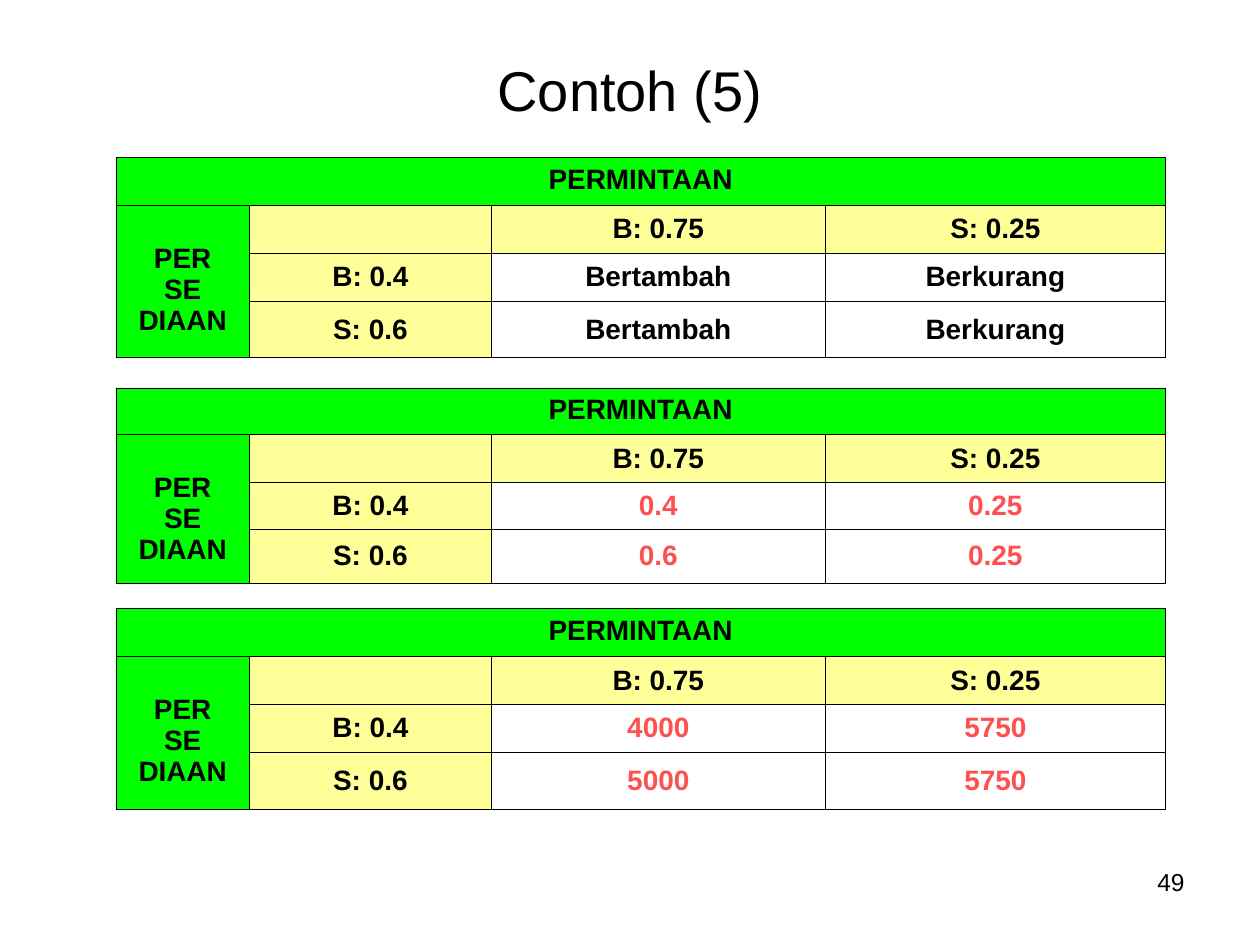
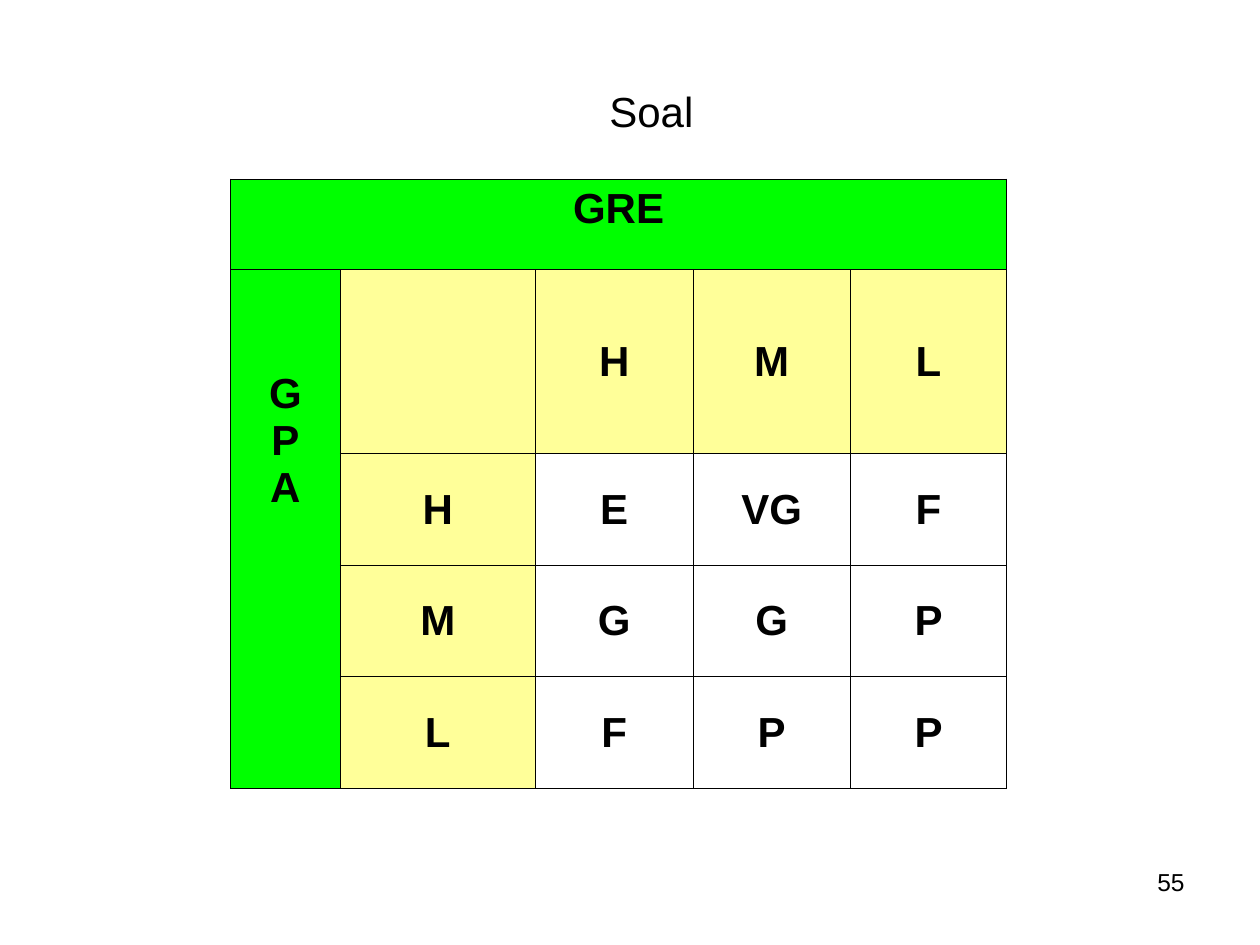
"""Build two slides of decision tables with a shared look."""
from dataclasses import dataclass

from lxml.etree import SubElement
from pptx import Presentation
from pptx.dml.color import RGBColor
from pptx.enum.text import MSO_ANCHOR, PP_ALIGN
from pptx.oxml.ns import qn
from pptx.util import Inches, Pt


@dataclass(frozen=True)
class Theme:
    font: str = "Arial"
    ink: str = "000000"
    red: str = "FF5050"
    band: str = "00FF00"
    head: str = "FFFF99"
    edge: float = 0.45
    page: int = 14
    small: int = 16
    large: int = 24
    title: int = 32


@dataclass(frozen=True)
class Box:
    left: float
    top: float
    width: float
    height: float

    def place(self) -> tuple:
        return tuple(map(Inches, (self.left, self.top, self.width, self.height)))


@dataclass(frozen=True)
class Grid:
    left: float
    top: float
    cols: tuple
    rows: tuple
    band: str
    side: str
    drop: float
    body: tuple
    size: int
    ink: str = Theme.ink


@dataclass(frozen=True)
class Page:
    title: str
    box: Box
    size: int
    number: str
    grids: tuple


THEME = Theme()
FOOT = Box(7.17, 6.83, 2.33, 0.52)


def style(frame, size: int, ink: str = THEME.ink, bold: bool = False,
          align=PP_ALIGN.CENTER) -> None:
    for para in frame.paragraphs:
        para.alignment = align
        for run in para.runs:
            font = run.font
            font.name, font.size, font.bold = THEME.font, Pt(size), bold
            font.color.rgb = RGBColor.from_string(ink)
        if not para.runs:
            SubElement(para._p, qn("a:endParaRPr"), sz=str(size * 100))


def outline(cell) -> None:
    props = cell._tc.get_or_add_tcPr()
    for side in ("L", "R", "T", "B"):
        line = SubElement(props, qn(f"a:ln{side}"), w=str(Pt(THEME.edge)))
        fill = SubElement(line, qn("a:solidFill"))
        SubElement(fill, qn("a:srgbClr"), val=THEME.ink)


def paint(cell, row: int, col: int, grid: Grid) -> None:
    outline(cell)
    is_band = row == 0 or col == 0
    is_head = row == 1 or col == 1
    if is_band or is_head:
        cell.fill.solid()
        shade = THEME.band if is_band else THEME.head
        cell.fill.fore_color.rgb = RGBColor.from_string(shade)
    else:
        cell.fill.background()
    cell.vertical_anchor = MSO_ANCHOR.TOP if is_band else MSO_ANCHOR.MIDDLE
    ink = THEME.ink if is_band or is_head else grid.ink
    style(cell.text_frame, grid.size, ink, bold=True)


def add_grid(slide, grid: Grid) -> None:
    box = Box(grid.left, grid.top, sum(grid.cols), sum(grid.rows))
    table = slide.shapes.add_table(len(grid.rows), len(grid.cols), *box.place()).table
    table.first_row = table.horz_banding = False
    for col, width in zip(table.columns, grid.cols):
        col.width = Inches(width)
    for row, height in zip(table.rows, grid.rows):
        row.height = Inches(height)

    band, side = table.cell(0, 0), table.cell(1, 0)
    band.merge(table.cell(0, len(grid.cols) - 1))
    side.merge(table.cell(len(grid.rows) - 1, 0))
    band.text_frame.text = grid.band
    side.text_frame.text = grid.side
    side.margin_top = Inches(grid.drop)
    for r, words in enumerate(grid.body, 1):
        for c, word in enumerate(words, 1):
            table.cell(r, c).text_frame.text = word
    for r in range(len(grid.rows)):
        for c in range(len(grid.cols)):
            paint(table.cell(r, c), r, c, grid)


def add_page(deck, page: Page) -> None:
    slide = deck.slides.add_slide(deck.slide_layouts[5])
    title = slide.shapes.title
    title.left, title.top, title.width, title.height = page.box.place()
    title.text_frame.text = page.title
    title.text_frame.vertical_anchor = MSO_ANCHOR.MIDDLE
    style(title.text_frame, page.size)

    foot = slide.shapes.add_textbox(*FOOT.place()).text_frame
    foot.word_wrap = True
    foot.text = page.number
    style(foot, THEME.page, align=PP_ALIGN.RIGHT)
    for grid in page.grids:
        add_grid(slide, grid)


def market(top: float, rows: tuple, buy: tuple, sell: tuple,
           ink: str = THEME.red) -> Grid:
    body = (("", "B: 0.75", "S: 0.25"), ("B: 0.4", *buy), ("S: 0.6", *sell))
    return Grid(0.92, top, (1.06, 1.92, 2.65, 2.7), rows, "PERMINTAAN",
                "PER\nSE\nDIAAN", 0.3, body, THEME.small, ink)


TALL = (0.38, 0.38, 0.38, 0.45)
SHORT = (0.37, 0.38, 0.37, 0.43)
TREND = ("Bertambah", "Berkurang")
SCORES = Grid(
    1.83, 1.42, (0.87, 1.55, 1.25, 1.25, 1.24), (0.72, 1.46, 0.89, 0.88, 0.89),
    "GRE", "G\nP\nA", 0.8,
    (("", "H", "M", "L"), ("H", "E", "VG", "F"),
     ("M", "G", "G", "P"), ("L", "F", "P", "P")),
    THEME.large)

PAGES = (
    Page("Contoh (5)", Box(0.5, 0.42, 9, 0.58), THEME.title, "49", (
        market(1.25, TALL, TREND, TREND, THEME.ink),
        market(3.08, SHORT, ("0.4", "0.25"), ("0.6", "0.25")),
        market(4.83, TALL, ("4000", "5750"), ("5000", "5750")))),
    Page("Soal", Box(0.92, 0.5, 8.5, 0.75), THEME.large, "55", (SCORES,)),
)


def main() -> None:
    deck = Presentation()
    deck.slide_width, deck.slide_height = Inches(10), Inches(7.5)
    for page in PAGES:
        add_page(deck, page)
    deck.save("out.pptx")


if __name__ == "__main__":
    main()
